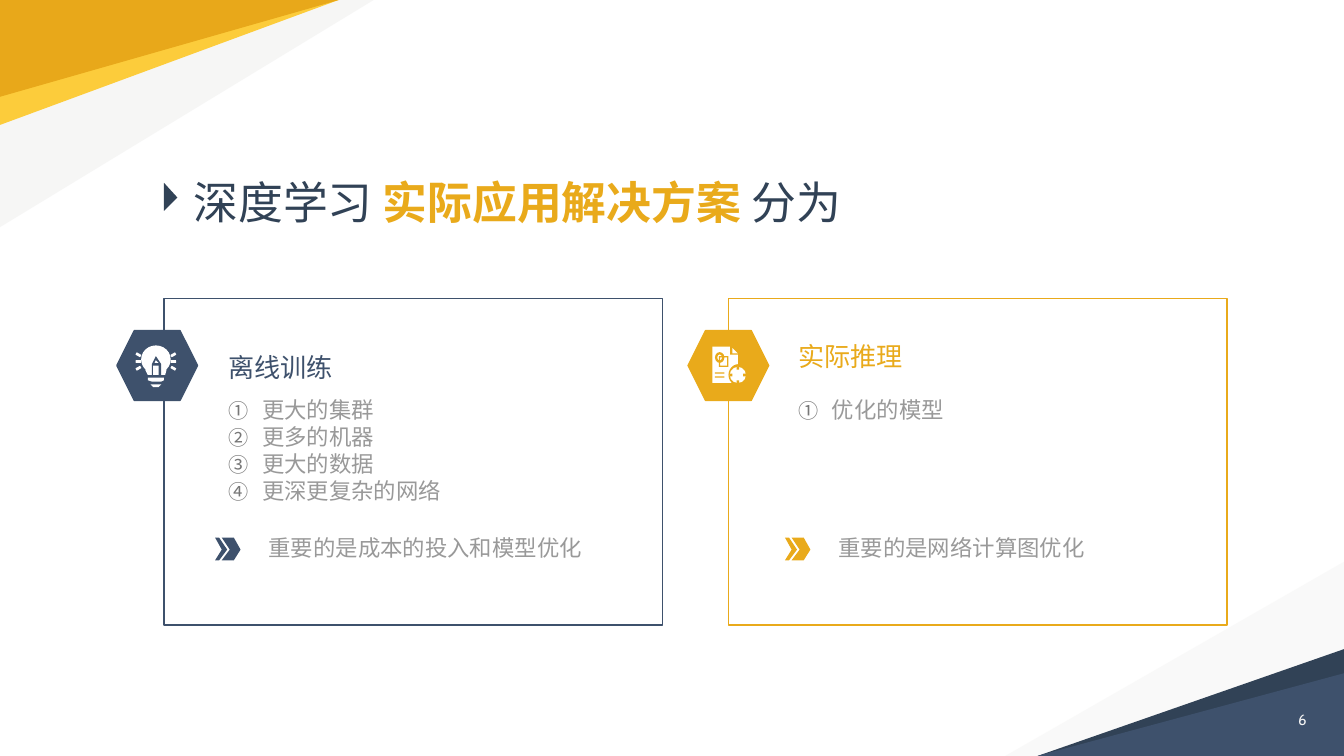
from dataclasses import dataclass
from lxml.etree import SubElement as Sub
from pptx import Presentation
from pptx.dml.color import RGBColor as Color
from pptx.enum.shapes import MSO_SHAPE as Kind
from pptx.enum.text import MSO_ANCHOR as Anchor, MSO_AUTO_SIZE as Fit, PP_ALIGN as Align
from pptx.oxml.ns import qn
from pptx.util import Inches, Pt

WIDE = 10
HIGH = WIDE * 9 / 16


@dataclass(frozen=True)
class Theme:
    navy: str = "3E516C"
    dark: str = "314256"
    gold: str = "E9AA1B"
    amber: str = "E8A81A"
    sun: str = "FCCC3B"
    mist: str = "EDEDEB"
    white: str = "FFFFFF"
    pale: str = "F3F3F3"
    gray: str = "999999"
    mark: str = "777777"
    head: str = "Montserrat"
    body: str = "Cabin"
    big: int = 24
    mid: int = 14
    text: int = 12
    tiny: int = 8


class Deck:
    def __init__(self, theme):
        self.theme = theme
        self.show = Presentation()
        self.show.slide_width = Inches(WIDE)
        self.show.slide_height = Inches(HIGH)
        self.slide = self.show.slides.add_slide(self.show.slide_layouts[4])
        self.shapes = self.slide.shapes
        self.holders = {p.placeholder_format.idx: p for p in self.slide.placeholders}

    def paint(self, item, fill, line=None, alpha=None):
        item.shadow.inherit = False
        if fill:
            item.fill.solid()
            item.fill.fore_color.rgb = Color.from_string(fill)
        else:
            item.fill.background()
        if alpha:
            tone = item.fill._xPr.find(".//" + qn("a:srgbClr"))
            Sub(tone, qn("a:alpha"), val=str(alpha * 1000))
        if line:
            item.line.color.rgb = Color.from_string(line)
            item.line.width = Pt(0.75)
        else:
            item.line.fill.background()

    def shape(self, kind, box, fill, line=None, turn=0):
        item = self.shapes.add_shape(kind, *map(Inches, box))
        item.rotation = turn
        self.paint(item, fill, line)

    def poly(self, points, fill, alpha=None):
        dots = [(Inches(x), Inches(y)) for x, y in points]
        pen = self.shapes.build_freeform(*dots[0], scale=1.0)
        pen.add_line_segments(dots[1:], close=True)
        self.paint(pen.convert_to_shape(), fill, alpha=alpha)

    def frame(self, item, box, anchor):
        item.left, item.top, item.width, item.height = map(Inches, box)
        area = item.text_frame
        area.word_wrap = True
        area.auto_size = Fit.NONE
        area.vertical_anchor = anchor
        area.margin_left = area.margin_right = Inches(0.1)
        area.margin_top = area.margin_bottom = Inches(0.1)
        return area

    def line(self, para, runs, size, font, gap):
        para.alignment = Align.LEFT
        para.space_before = para.space_after = Pt(0)
        para.line_spacing = gap
        for words, tone, bold in runs:
            run = para.add_run()
            run.text = words
            run.font.name = font
            run.font.size = Pt(size)
            run.font.bold = bold
            run.font.color.rgb = Color.from_string(tone)

    def head(self, slot, box, runs, size):
        area = self.frame(self.holders[slot], box, Anchor.BOTTOM)
        self.line(area.paragraphs[0], runs, size, self.theme.head, 1.15)

    def list(self, slot, box, items):
        t = self.theme
        area = self.frame(self.holders[slot], box, Anchor.TOP)
        for i, words in enumerate(items):
            para = area.add_paragraph() if i else area.paragraphs[0]
            props = para._p.get_or_add_pPr()
            props.set("marL", str(Inches(0.25)))
            props.set("indent", str(-Inches(0.25)))
            Sub(Sub(props, qn("a:buClr")), qn("a:srgbClr"), val=t.mark)
            Sub(props, qn("a:buSzPct"), val="90000")
            Sub(props, qn("a:buAutoNum"), type="circleNumDbPlain")
            self.line(para, [(words, t.gray, False)], t.text, t.body, 1.0)

    def note(self, box, words, size, tone, gap=1.0):
        item = self.shapes.add_textbox(*map(Inches, box))
        area = self.frame(item, box, Anchor.TOP)
        self.line(area.paragraphs[0], [(words, tone, False)], size, self.theme.body, gap)

    def arrow(self, x, tone):
        for left, mid, right, tip in ((0.05, 0.11, 0.14, 0.19), (0, 0.05, 0.03, 0.09)):
            self.poly([(x + left, 4), (x + mid, 4.09), (x + left, 4.17),
                       (x + right, 4.17), (x + tip, 4.09), (x + right, 4)], tone)

    def bulb(self, tone):
        white = self.theme.white
        for side in (-1, 1):
            for dx, y, turn in ((0.13, 2.69, 0), (0.13, 2.64, -30), (0.13, 2.74, 30)):
                box = (1.16 + side * dx - 0.02, y - 0.01, 0.04, 0.02)
                self.shape(Kind.ROUNDED_RECTANGLE, box, white, turn=side * turn)
        self.shape(Kind.OVAL, (1.05, 2.57, 0.22, 0.21), white)
        self.poly([(1.08, 2.75), (1.24, 2.75), (1.23, 2.79), (1.1, 2.79)], white)
        self.poly([(1.13, 2.79), (1.13, 2.71), (1.16, 2.65), (1.2, 2.71), (1.2, 2.79)], tone)
        self.shape(Kind.RECTANGLE, (1.14, 2.72, 0.04, 0.07), white)
        self.poly([(1.16, 2.68), (1.15, 2.7), (1.18, 2.7)], white)
        self.poly([(1.1, 2.81), (1.22, 2.81), (1.22, 2.83), (1.2, 2.84),
                   (1.13, 2.84), (1.1, 2.83)], white)
        self.poly([(1.12, 2.86), (1.2, 2.86), (1.18, 2.88), (1.14, 2.88)], white)

    def page(self, tone):
        white = self.theme.white
        self.poly([(5.3, 2.58), (5.43, 2.58), (5.43, 2.64), (5.49, 2.64),
                   (5.49, 2.85), (5.3, 2.85)], white)
        self.poly([(5.45, 2.59), (5.49, 2.63), (5.45, 2.63)], white)
        self.shape(Kind.FRAME, (5.35, 2.65, 0.07, 0.08), tone)
        self.shape(Kind.DONUT, (5.32, 2.62, 0.07, 0.08), tone)
        for y in (2.77, 2.8):
            self.shape(Kind.RECTANGLE, (5.32, y, 0.07, 0.01), tone)
        self.shape(Kind.OVAL, (5.42, 2.71, 0.15, 0.16), tone)
        self.shape(Kind.OVAL, (5.43, 2.73, 0.12, 0.12), white)
        for x in (5.43, 5.53):
            self.shape(Kind.RECTANGLE, (x, 2.78, 0.02, 0.02), tone)
        for y in (2.73, 2.83):
            self.shape(Kind.RECTANGLE, (5.48, y, 0.02, 0.02), tone)


def main():
    t = Theme()
    deck = Deck(t)
    deck.poly([(WIDE, HIGH), (7.48, HIGH), (WIDE, 4.18)], t.mist, 28)
    deck.poly([(WIDE, HIGH), (WIDE, 4.83), (7.72, HIGH)], t.dark)
    deck.poly([(WIDE, HIGH), (WIDE, 5.01), (7.72, HIGH)], t.navy)
    deck.poly([(0, 0), (2.78, 0), (0, 1.69)], t.mist, 48)
    deck.poly([(0, 0), (0, 0.93), (2.52, 0)], t.sun)
    deck.poly([(0, 0), (0, 0.72), (2.52, 0)], t.amber)

    title = [("深度学习 ", t.dark, False), ("实际应用解决方案 ", t.gold, True),
             ("分为", t.dark, False)]
    deck.head(0, (1.34, 1.27, 7.31, 0.53), title, t.big)
    deck.poly([(1.22, 1.57), (1.32, 1.47), (1.22, 1.36)], t.dark)
    deck.note((9.56, 5.19, 0.44, 0.43), "6", t.tiny, t.pale)

    cards = [
        (1.22, 0.87, 1.6, 2.59, t.navy, deck.bulb, "离线训练",
         ["更大的集群", "更多的机器", "更大的数据", "更深更复杂的网络"],
         "重要的是成本的投入和模型优化"),
        (5.42, 5.12, 5.84, 2.51, t.gold, deck.page, "实际推理",
         ["优化的模型"], "重要的是网络计算图优化"),
    ]
    for i, (left, edge, x, y, tone, icon, name, items, point) in enumerate(cards):
        deck.shape(Kind.RECTANGLE, (left, 2.22, 3.71, 2.43), None, tone)
        deck.shape(Kind.HEXAGON, (edge, 2.46, 0.6, 0.52), tone, tone)
        icon(tone)
        deck.head(2 * i + 1, (x, y, 3.14, 0.36), [(name, tone, False)], t.mid)
        deck.list(2 * i + 2, (x, 2.85, 3.19, 0.99), items)
        deck.arrow(x, tone)
        deck.note((x + 0.3, 3.84, 2.89, 0.64), point, t.text, t.gray, Pt(17))
    deck.show.save("out.pptx")


if __name__ == "__main__":
    main()
